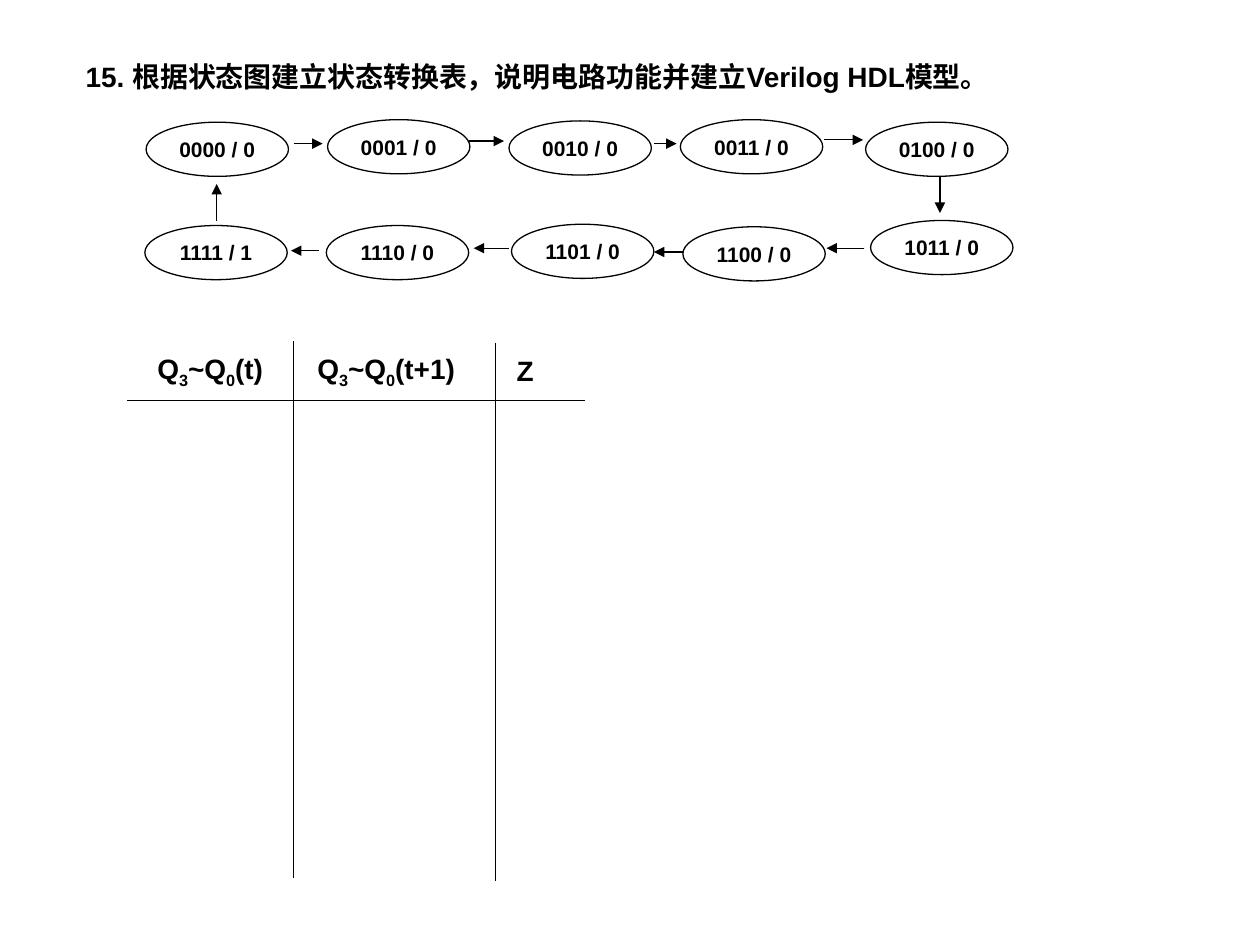
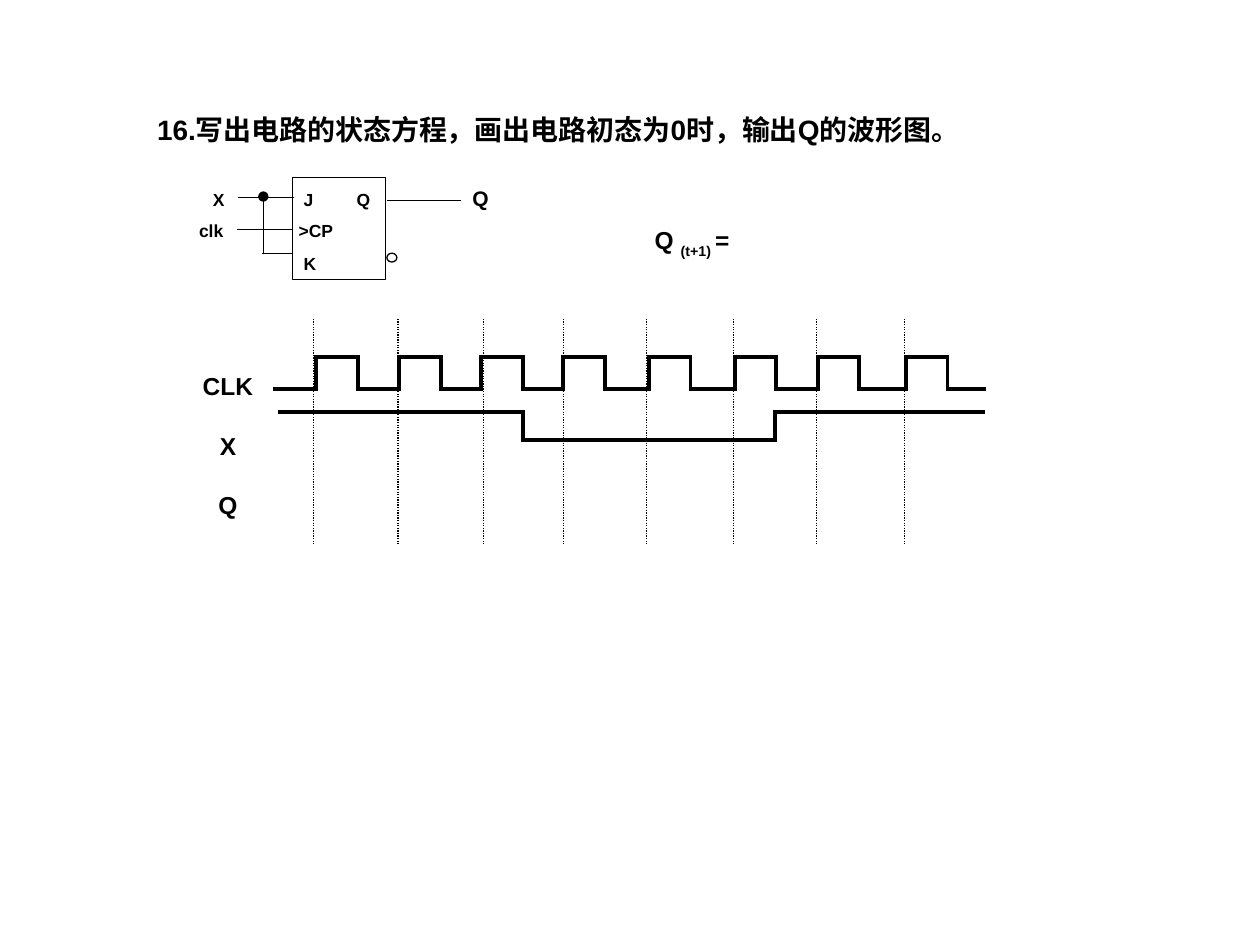
from itertools import pairwise

from lxml import etree
from pptx import Presentation
from pptx.dml.color import RGBColor
from pptx.enum.dml import MSO_LINE
from pptx.enum.shapes import MSO_CONNECTOR, MSO_SHAPE
from pptx.enum.text import MSO_ANCHOR as Anchor, MSO_AUTO_SIZE as Fit, PP_ALIGN as Align
from pptx.oxml.ns import qn
from pptx.util import Inches, Pt

INK = "000000"
FONT = "Arial"
THIN, THICK = 0.75, 2.25


def color(code):
    return RGBColor.from_string(code)


def write(frame, text, size=16, align=Align.LEFT, anchor=Anchor.TOP,
          wrap=True, inset=(0.1, 0.05), before=0, spacing=None):
    """Fill a frame: newlines split paragraphs, underscores enclose subscripts."""
    frame.auto_size = Fit.NONE
    frame.word_wrap = wrap
    frame.vertical_anchor = anchor
    frame.margin_left = frame.margin_right = Inches(inset[0])
    frame.margin_top = frame.margin_bottom = Inches(inset[1])
    for i, line in enumerate(text.split("\n")):
        para = frame.add_paragraph() if i else frame.paragraphs[0]
        para.alignment = align
        para.space_before = Pt(before if i else 0)
        if spacing:
            para.line_spacing = spacing
        for j, part in enumerate(line.split("_")):
            run = para.add_run()
            run.text = part
            font = run.font
            font.name, font.size, font.bold = FONT, Pt(size), True
            font.color.rgb = color(INK)
            if j % 2:
                run._r.get_or_add_rPr().set("baseline", "-25000")


def add_text(slide, x, y, w, h, text, **fmt):
    box = slide.shapes.add_textbox(*map(Inches, (x, y, w, h)))
    write(box.text_frame, text, **fmt)


def label(slide, x, mid, text, w=0.5, size=10):
    """Put a one-line label at x, centred on the height mid."""
    add_text(slide, x, mid - 0.15, w, 0.3, text, size=size,
             anchor=Anchor.MIDDLE, inset=(0, 0))


def outline(slide, kind, x, y, w, h):
    shape = slide.shapes.add_shape(kind, *map(Inches, (x, y, w, h)))
    shape.shadow.inherit = False
    shape.fill.background()
    shape.line.color.rgb = color(INK)
    shape.line.width = Pt(THIN)
    return shape


def draw(slide, x, y, ends, width=THIN, tail=None, dash=None, cap=None):
    """Draw a line whose ends are relative to the corner x, y."""
    x1, y1, x2, y2 = ends
    wire = slide.shapes.add_connector(
        MSO_CONNECTOR.STRAIGHT,
        *map(Inches, (x + x1, y + y1, x + x2, y + y2)))
    wire.line.color.rgb = color(INK)
    wire.line.width = Pt(width)
    if dash:
        wire.line.dash_style = dash
    props = wire._element.spPr
    line = props.find(qn("a:ln"))
    if cap:
        line.set("cap", cap)
    if tail:
        etree.SubElement(line, qn("a:tailEnd"), type=tail)
    etree.SubElement(props, qn("a:effectLst"))


def trace(slide, x, y, points):
    """Draw a signal through the given points."""
    for start, end in pairwise(points):
        draw(slide, x, y, start + end, width=THICK, cap="sq")


def new_slide(deck, title, box, align):
    slide = deck.slides.add_slide(deck.slide_layouts[5])
    head = slide.shapes.title
    head.left, head.top, head.width, head.height = map(Inches, box)
    write(head.text_frame, title, align=align)
    return slide


# State, its corner, and the arrow to the next state
STATES = [
    ("0000 / 0", 0.01, 0.02, (1.18, 0.19, 1.41, 0.19)),
    ("0001 / 0", 1.45, 0, (2.57, 0.17, 2.85, 0.17)),
    ("0010 / 0", 2.89, 0.01, (4.04, 0.19, 4.22, 0.19)),
    ("0011 / 0", 4.25, 0, (5.39, 0.16, 5.7, 0.16)),
    ("0100 / 0", 5.72, 0.02, (6.31, 0.45, 6.31, 0.74)),
    ("1011 / 0", 5.76, 0.8, (5.71, 1.02, 5.41, 1.02)),
    ("1100 / 0", 4.27, 0.85, (4.27, 1.05, 4.04, 1.05)),
    ("1101 / 0", 2.91, 0.83, (2.89, 1.02, 2.61, 1.02)),
    ("1110 / 0", 1.44, 0.84, (1.38, 1.04, 1.16, 1.04)),
    ("1111 / 1", 0, 0.84, (0.57, 0.8, 0.57, 0.51)),
]


def state_ring(slide, x, y):
    for name, dx, dy, arrow in STATES:
        node = outline(slide, MSO_SHAPE.OVAL, x + dx, y + dy, 1.13, 0.43)
        write(node.text_frame, name, size=12, align=Align.CENTER,
              anchor=Anchor.MIDDLE, wrap=False)
        draw(slide, x, y, arrow, tail="triangle")


def state_grid(slide, x, y):
    heads = [(0.24, "Q_3_~Q_0_(t)"), (1.51, "Q_3_~Q_0_(t+1)"), (3.09, "Z")]
    for dx, text in heads:
        label(slide, x + dx, y + 0.23, text, w=1.3, size=16)
    rules = [(0, 0.47, 3.63, 0.47), (1.32, 0, 1.32, 4.26), (2.92, 0.01, 2.92, 4.28)]
    for rule in rules:
        draw(slide, x, y, rule)


def circuit(slide, x, y):
    # Flip-flop with its inverted output
    outline(slide, MSO_SHAPE.RECTANGLE, x + 0.96, y, 0.74, 0.81)
    outline(slide, MSO_SHAPE.OVAL, x + 1.71, y + 0.6, 0.08, 0.07)
    # Wires, the last one from K up to the node on X
    wires = [(0.97, 0.16, 0.53, 0.16), (0.96, 0.6, 0.72, 0.6),
             (0.96, 0.41, 0.52, 0.41), (1.71, 0.18, 2.3, 0.18)]
    for wire in wires:
        draw(slide, x, y, wire)
    draw(slide, x, y, (0.73, 0.61, 0.73, 0.15), tail="oval")
    # Pins
    pins = [("X", 0.33, 0.17), ("clk", 0.22, 0.42), ("J", 1.05, 0.17),
            ("Q", 1.47, 0.17), (">CP", 1.01, 0.42), ("K", 1.05, 0.68)]
    for name, dx, dy in pins:
        label(slide, x + dx, y + dy, name)
    label(slide, x + 2.39, y + 0.16, "Q", size=12)


def timing(slide, x, y):
    add_text(slide, x, y + 0.25, 0.9, 1.4, "CLK\nX\nQ", size=14,
             align=Align.CENTER, before=8.8, spacing=1.5)
    # Guides at the clock edges
    for dx in (1.13, 1.8, 2.48, 3.11, 3.77, 4.46, 5.12, 5.82):
        draw(slide, x, y, (dx, 0, dx, 1.8), dash=MSO_LINE.ROUND_DOT)
    # Clock
    high, low = 0.3, 0.56
    clock = [(0.82, low)]
    for rise in (1.15, 1.81, 2.46, 3.11, 3.79, 4.47, 5.13, 5.83):
        fall = rise + 0.33
        clock += [(rise, low), (rise, high), (fall, high), (fall, low)]
    trace(slide, x, y, clock + [(6.45, low)])
    # Input X
    high, low = 0.74, 0.96
    trace(slide, x, y, [(0.86, high), (2.79, high), (2.79, low),
                        (4.79, low), (4.79, high), (6.44, high)])


def main():
    deck = Presentation()
    deck.slide_width, deck.slide_height = Inches(10), Inches(7.5)

    slide = new_slide(deck, "15. 根据状态图建立状态转换表，说明电路功能并建立Verilog HDL模型。",
                      (0.58, 0.42, 7.93, 0.37), Align.LEFT)
    state_ring(slide, 1.15, 0.95)
    state_grid(slide, 1.01, 2.71)

    slide = new_slide(deck, "16.写出电路的状态方程，画出电路初态为0时，输出Q的波形图。",
                      (1.07, 0.84, 6.72, 0.37), Align.CENTER)
    circuit(slide, 1.36, 1.41)
    add_text(slide, 4.45, 1.74, 2.14, 0.37, "Q _(t+1) _= ", size=14,
             align=Align.CENTER)
    timing(slide, 1.36, 2.53)

    deck.save("out.pptx")


if __name__ == "__main__":
    main()
